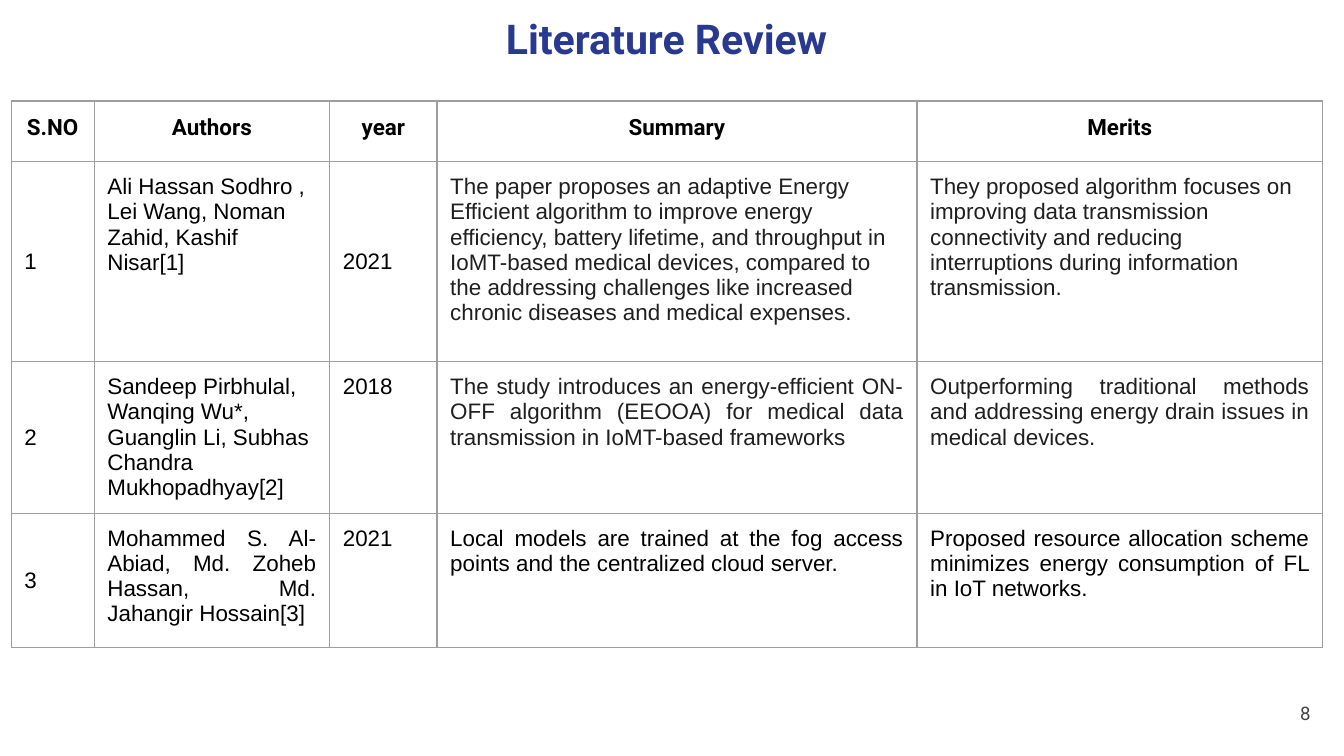
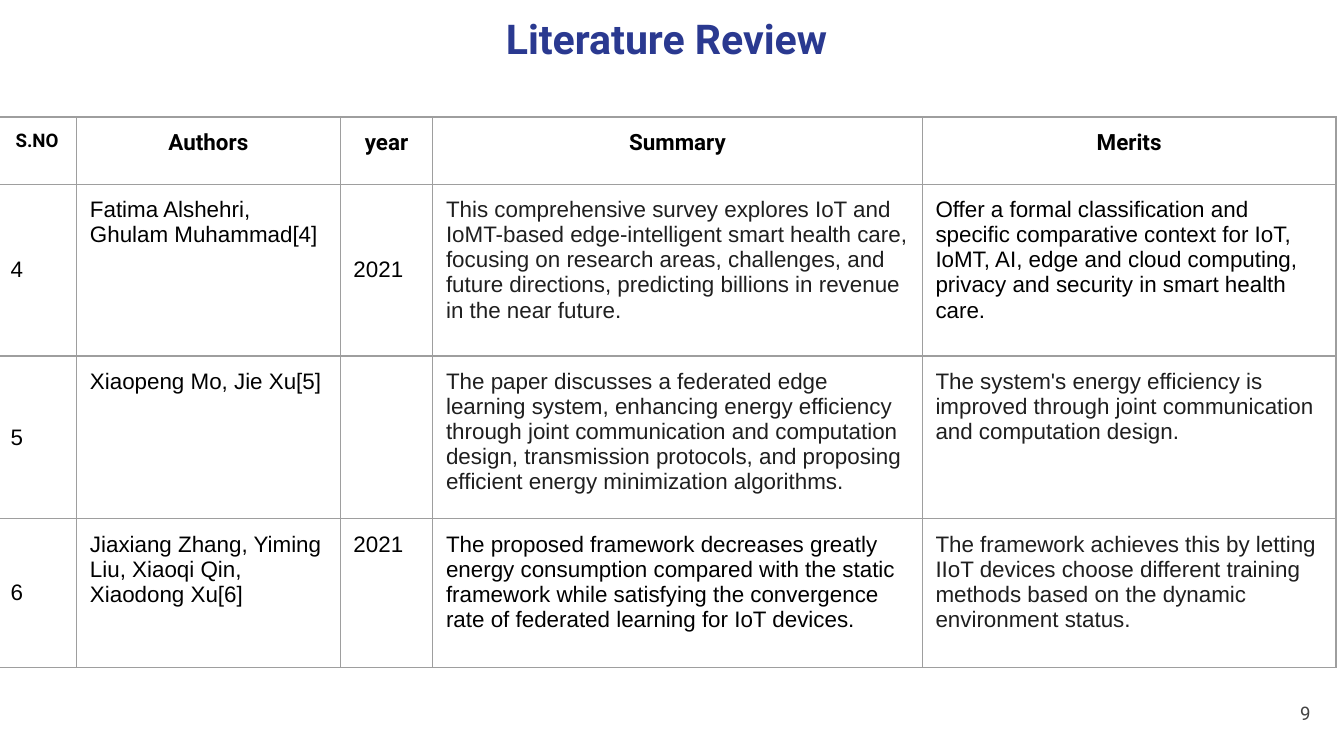
from dataclasses import dataclass

from lxml.etree import SubElement
from pptx import Presentation
from pptx.dml.color import RGBColor
from pptx.enum.text import MSO_ANCHOR as Anchor, MSO_AUTO_SIZE as AutoSize, PP_ALIGN as Align
from pptx.oxml.ns import qn
from pptx.util import Cm, Pt

# Shared look
BLUE, BLACK, INK, GREY, RULE = "2A3990", "000000", "1F1F1F", "434343", "9E9E9E"
HEAD_FONT, BODY_FONT = "Roboto", "Arial"
INSET = Cm(0.25)
HEADERS = ["S.NO", "Authors", "year", "Summary", "Merits"]


@dataclass
class Entry:
    """The content and format of one table cell."""
    text: str
    color: str = BLACK
    align: Align = Align.LEFT
    anchor: Anchor = Anchor.TOP


def rgb(value):
    return RGBColor.from_string(value)


def write(frame, text, font=BODY_FONT, size=12, color=BLACK, bold=False, align=Align.LEFT):
    """Fill a text frame, one paragraph for each line of text."""
    frame.word_wrap = True
    for index, line in enumerate(text.split("\n")):
        paragraph = frame.add_paragraph() if index else frame.paragraphs[0]
        paragraph.alignment = align
        run = paragraph.add_run() if line else paragraph
        if line:
            run.text = line
        run.font.name, run.font.size, run.font.bold = font, Pt(size), bold
        run.font.color.rgb = rgb(color)


def set_insets(target):
    target.margin_left = target.margin_right = INSET
    target.margin_top = target.margin_bottom = INSET


def add_borders(cell):
    properties = cell._tc.get_or_add_tcPr()
    for side in ("lnL", "lnR", "lnT", "lnB"):
        line = SubElement(properties, qn(f"a:{side}"), w=str(Pt(0.75)))
        fill = SubElement(line, qn("a:solidFill"))
        SubElement(fill, qn("a:srgbClr"), val=RULE)


def fill_cell(cell, entry, **text_format):
    set_insets(cell)
    cell.vertical_anchor = entry.anchor
    add_borders(cell)
    cell.fill.background()
    write(cell.text_frame, entry.text, color=entry.color, align=entry.align, **text_format)


def add_title(slide, text, height):
    title = slide.shapes.title
    title.left, title.top, title.width, title.height = Cm(0.76), Cm(0), Cm(23.67), Cm(height)
    frame = title.text_frame
    set_insets(frame)
    frame.auto_size = AutoSize.NONE
    frame.vertical_anchor = Anchor.TOP
    write(frame, text, font=HEAD_FONT, size=22, color=BLUE, bold=True, align=Align.CENTER)


def add_page_number(slide, number):
    frame = slide.shapes.add_textbox(Cm(23.5), Cm(12.93), Cm(1.52), Cm(1.09)).text_frame
    set_insets(frame)
    frame.vertical_anchor = Anchor.MIDDLE
    write(frame, str(number), font=HEAD_FONT, size=10, color=GREY, align=Align.RIGHT)


def add_review_table(slide, left, top, widths, heights, papers, first_header_size=12):
    table = slide.shapes.add_table(
        len(heights), len(widths), Cm(left), Cm(top), Cm(sum(widths)), Cm(sum(heights))).table
    table.first_row = table.horz_banding = False
    for column, width in zip(table.columns, widths):
        column.width = Cm(width)
    for row, height in zip(table.rows, heights):
        row.height = Cm(height)
    for index, header in enumerate(HEADERS):
        fill_cell(table.cell(0, index), Entry(header, align=Align.CENTER),
                  font=HEAD_FONT, bold=True, size=12 if index else first_header_size)
    for row_index, paper in enumerate(papers, start=1):
        for column_index, entry in enumerate(paper):
            fill_cell(table.cell(row_index, column_index), entry)


def middle(text):
    return Entry(text, anchor=Anchor.MIDDLE)


def justified(text, color=BLACK):
    return Entry(text, color, Align.JUSTIFY)


# Reviewed papers: number, authors, year, summary, merits
FIRST_PAPERS = [
    [middle("1"),
     Entry("Ali Hassan Sodhro , Lei Wang, Noman Zahid, Kashif Nisar[1]"),
     middle("2021"),
     Entry("The paper proposes an adaptive Energy Efficient algorithm to improve energy "
           "efficiency, battery lifetime, and throughput in IoMT-based medical devices, "
           "compared to the addressing challenges like increased chronic diseases and "
           "medical expenses.", INK),
     Entry("They proposed algorithm focuses on improving data transmission connectivity "
           "and reducing interruptions during information transmission.", INK)],
    [middle("2"),
     Entry("Sandeep Pirbhulal, Wanqing Wu*, Guanglin Li, Subhas Chandra Mukhopadhyay[2]"),
     Entry("2018"),
     justified("The study introduces an energy-efficient ON-OFF algorithm (EEOOA) for "
               "medical data transmission in IoMT-based frameworks", INK),
     justified("Outperforming traditional methods and addressing energy drain issues in "
               "medical devices.", INK)],
    [middle("3"),
     justified("Mohammed S. Al-Abiad, Md. Zoheb Hassan, Md. Jahangir Hossain[3]"),
     justified("2021"),
     justified("Local models are trained at the fog access points and the centralized "
               "cloud server."),
     justified("Proposed resource allocation scheme minimizes energy consumption of FL "
               "in IoT networks.")],
]
SECOND_PAPERS = [
    [middle("4"),
     Entry("Fatima Alshehri,\nGhulam Muhammad[4]"),
     middle("2021"),
     Entry("This comprehensive survey explores IoT and IoMT-based edge-intelligent smart "
           "health care, focusing on research areas, challenges, and future directions, "
           "predicting billions in revenue in the near future.", INK),
     Entry("Offer a formal classification and specific comparative context for IoT, IoMT, "
           "AI, edge and cloud computing, privacy and security in smart health care.")],
    [middle("5"),
     Entry("Xiaopeng Mo, Jie Xu[5]"),
     Entry(""),
     Entry("The paper discusses a federated edge learning system, enhancing energy "
           "efficiency through joint communication and computation design, transmission "
           "protocols, and proposing efficient energy minimization algorithms.", INK),
     Entry("The system's energy efficiency is improved through joint communication and "
           "computation design.", INK)],
    [middle("6"),
     Entry("Jiaxiang Zhang, Yiming Liu, Xiaoqi Qin, Xiaodong Xu[6]"),
     Entry("2021"),
     Entry("The proposed framework decreases greatly energy consumption compared with the "
           "static framework while satisfying the convergence rate of federated learning "
           "for IoT devices."),
     Entry("The framework achieves this by letting IIoT devices choose different training "
           "methods based on the dynamic environment status.", INK)],
]


def add_review_slide(presentation, number, title_height, **table_layout):
    slide = presentation.slides.add_slide(presentation.slide_layouts[5])
    add_title(slide, "Literature Review", title_height)
    add_review_table(slide, **table_layout)
    add_page_number(slide, number)


def main():
    presentation = Presentation()
    presentation.slide_width, presentation.slide_height = Cm(25.4), Cm(14.29)
    add_review_slide(presentation, 8, 1.68, left=0.21, top=1.91,
                     widths=[1.57, 4.45, 2.03, 9.07, 7.67],
                     heights=[1.14, 3.78, 2.16, 2.54], papers=FIRST_PAPERS)
    add_review_slide(presentation, 9, 1.19, left=-0.05, top=2.21,
                     widths=[1.5, 4.98, 1.75, 9.25, 7.82],
                     heights=[1.27, 3.25, 3.07, 2.82], papers=SECOND_PAPERS,
                     first_header_size=10)
    presentation.save("out.pptx")


if __name__ == "__main__":
    main()
